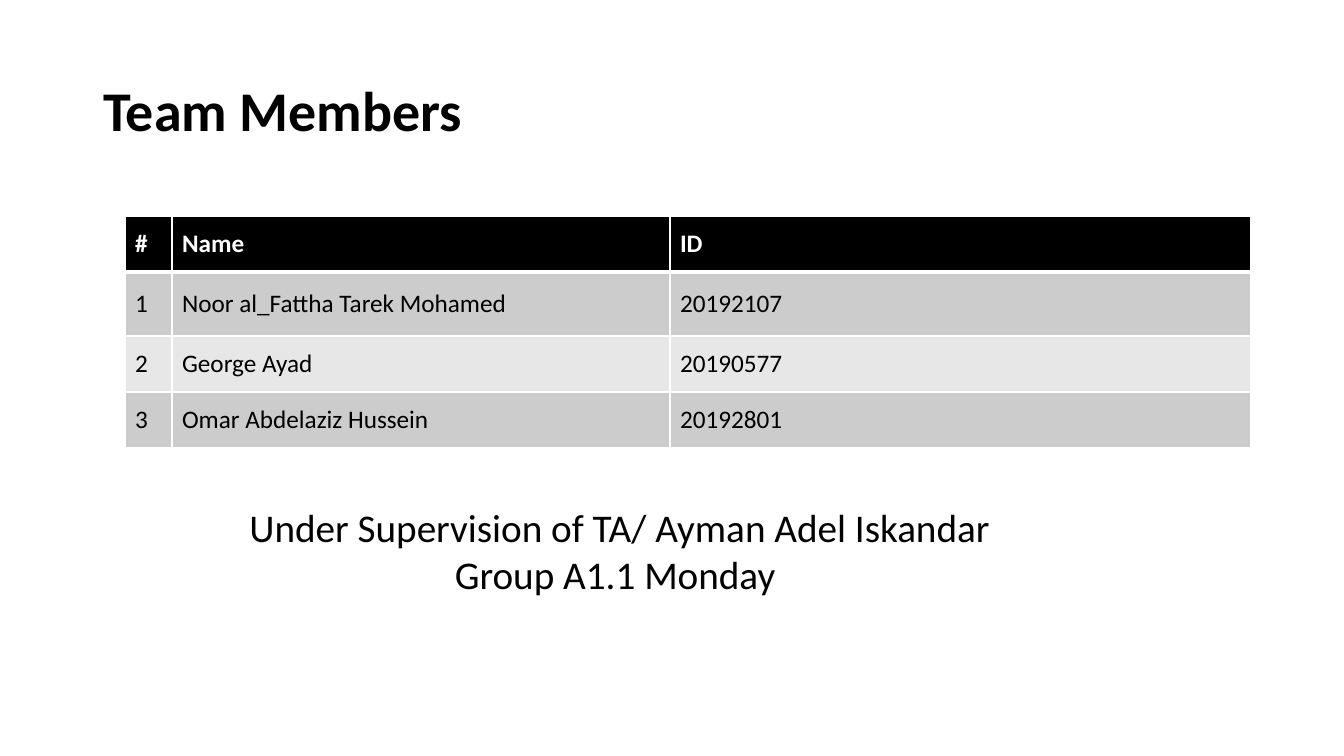
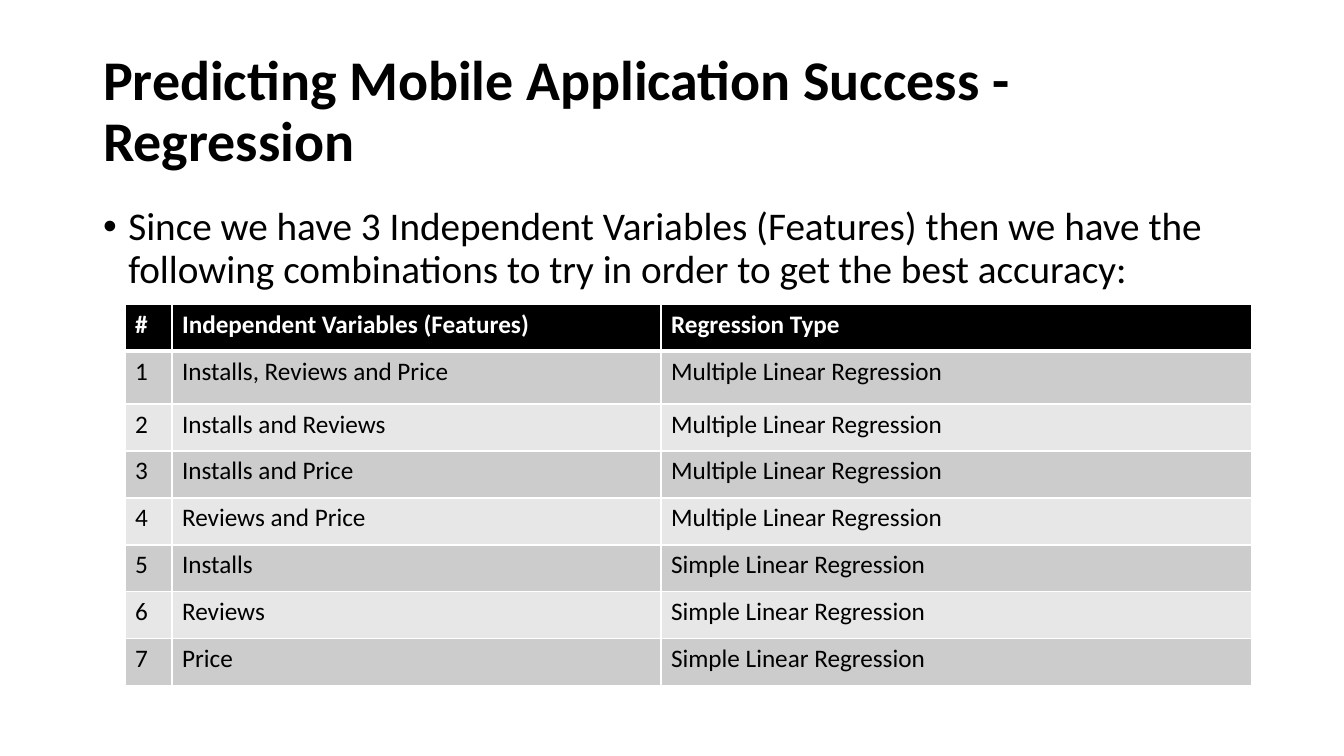
from lxml import etree
from pptx import Presentation
from pptx.dml.color import RGBColor
from pptx.enum.text import MSO_ANCHOR, MSO_AUTO_SIZE, PP_ALIGN
from pptx.oxml.ns import qn
from pptx.util import Emu, Pt

PX = 914400 / 100.8
FONT = "Calibri"
COLORS = {"ink": "000000", "paper": "FFFFFF", "odd": "CCCCCC", "even": "E7E7E7"}
TITLE_BOX = (93, 40, 1159, 146)
BODY_BOX = (93, 202, 1159, 480)
TITLE_ONLY, TITLE_AND_CONTENT = 5, 1


def px(length):
    """Turn pixels into EMU."""
    return Emu(round(length * PX))


def color(name):
    """Look up a named colour."""
    return RGBColor.from_string(COLORS[name])


def write(paragraph, text, size, ink="ink", bold=False, align=PP_ALIGN.LEFT):
    """Fill a paragraph with one formatted run."""
    paragraph.alignment = align
    run = paragraph.add_run()
    run.text = text
    run.font.name, run.font.size, run.font.bold = FONT, Pt(size), bold
    run.font.color.rgb = color(ink)


def place(shape, box):
    """Move a shape to a box and return its wrapping text frame."""
    shape.left, shape.top, shape.width, shape.height = map(px, box)
    frame = shape.text_frame
    frame.word_wrap = True
    frame.auto_size = MSO_AUTO_SIZE.NONE
    return frame


def add_titled_slide(prs, layout, title):
    """Add a slide with the shared title style."""
    slide = prs.slides.add_slide(prs.slide_layouts[layout])
    frame = place(slide.shapes.title, TITLE_BOX)
    frame.vertical_anchor = MSO_ANCHOR.MIDDLE
    frame.paragraphs[0].line_spacing = 0.9
    write(frame.paragraphs[0], title, 40, bold=True)
    return slide


def add_bullet(slide, box, text):
    """Put one bulleted paragraph in the body placeholder."""
    paragraph = place(slide.placeholders[1], box).paragraphs[0]
    paragraph.line_spacing = 0.9
    paragraph.space_before = Pt(10)
    write(paragraph, text, 28)
    properties = paragraph._p.get_or_add_pPr()
    properties.set("marL", "228600")
    properties.set("indent", "-228600")
    etree.SubElement(properties, qn("a:buFont")).set("typeface", "Arial")
    etree.SubElement(properties, qn("a:buChar")).set("char", "•")


def add_borders(cell, row):
    """Draw white cell borders, heavier below the header row."""
    widths = {"L": 1, "R": 1, "T": 3 if row == 1 else 1, "B": 3 if row == 0 else 1}
    properties = cell._tc.get_or_add_tcPr()
    for side, width in widths.items():
        line = etree.SubElement(properties, qn(f"a:ln{side}"), w=str(Pt(width)))
        fill = etree.SubElement(line, qn("a:solidFill"))
        etree.SubElement(fill, qn("a:srgbClr"), val=COLORS["paper"])


def add_numbered_table(slide, left, top, widths, heights, header, records, anchor):
    """Add a banded table whose first column counts the records."""
    rows = [("#", *header)]
    rows += [(str(number), *record) for number, record in enumerate(records, 1)]
    box = map(px, (left, top, sum(widths), sum(heights)))
    table = slide.shapes.add_table(len(rows), len(widths), *box).table
    for column, width in zip(table.columns, widths):
        column.width = px(width)
    for r, (values, height) in enumerate(zip(rows, heights)):
        table.rows[r].height = px(height)
        band = "ink" if r == 0 else ("even", "odd")[r % 2]
        for c, value in enumerate(values):
            cell = table.cell(r, c)
            add_borders(cell, r)
            cell.fill.solid()
            cell.fill.fore_color.rgb = color(band)
            cell.vertical_anchor = anchor
            write(cell.text_frame.paragraphs[0], value, 18,
                  ink="paper" if r == 0 else "ink", bold=r == 0)


def add_centered_lines(slide, box, lines):
    """Add a text box of centred lines."""
    frame = place(slide.shapes.add_textbox(0, 0, 0, 0), box)
    for index, line in enumerate(lines):
        paragraph = frame.add_paragraph() if index else frame.paragraphs[0]
        write(paragraph, line, 28, align=PP_ALIGN.CENTER)


def build_team(prs):
    """Build the slide that lists the team."""
    slide = add_titled_slide(prs, TITLE_ONLY, "Team Members")
    members = [("Noor al_Fattha Tarek Mohamed", "20192107"),
               ("George Ayad", "20190577"),
               ("Omar Abdelaziz Hussein", "20192801")]
    add_numbered_table(slide, 125, 216, (47, 498, 581), (56, 64, 56, 56),
                       ("Name", "ID"), members, MSO_ANCHOR.MIDDLE)
    add_centered_lines(slide, (192, 498, 855, 105),
                       ("Under Supervision of TA/ Ayman Adel Iskandar",
                        "Group A1.1 Monday "))


def build_regression(prs):
    """Build the slide that lists the feature combinations."""
    slide = add_titled_slide(prs, TITLE_AND_CONTENT,
                             "Predicting Mobile Application Success - Regression")
    add_bullet(slide, BODY_BOX,
               "Since we have 3 Independent Variables (Features) then we have the "
               "following combinations to try in order to get the best accuracy:")
    multiple = ("Installs, Reviews and Price", "Installs and Reviews",
                "Installs and Price", "Reviews and Price")
    simple = ("Installs", "Reviews", "Price")
    records = [(features, "Multiple Linear Regression") for features in multiple]
    records += [(feature, "Simple Linear Regression") for feature in simple]
    add_numbered_table(slide, 125, 304, (47, 489, 591), (47, 53, *[47] * 6),
                       ("Independent Variables (Features)", "Regression Type"),
                       records, MSO_ANCHOR.TOP)


def main():
    """Build and save the presentation."""
    prs = Presentation()
    prs.slide_width, prs.slide_height = px(1344), px(756)
    build_team(prs)
    build_regression(prs)
    prs.save("out.pptx")


main()
